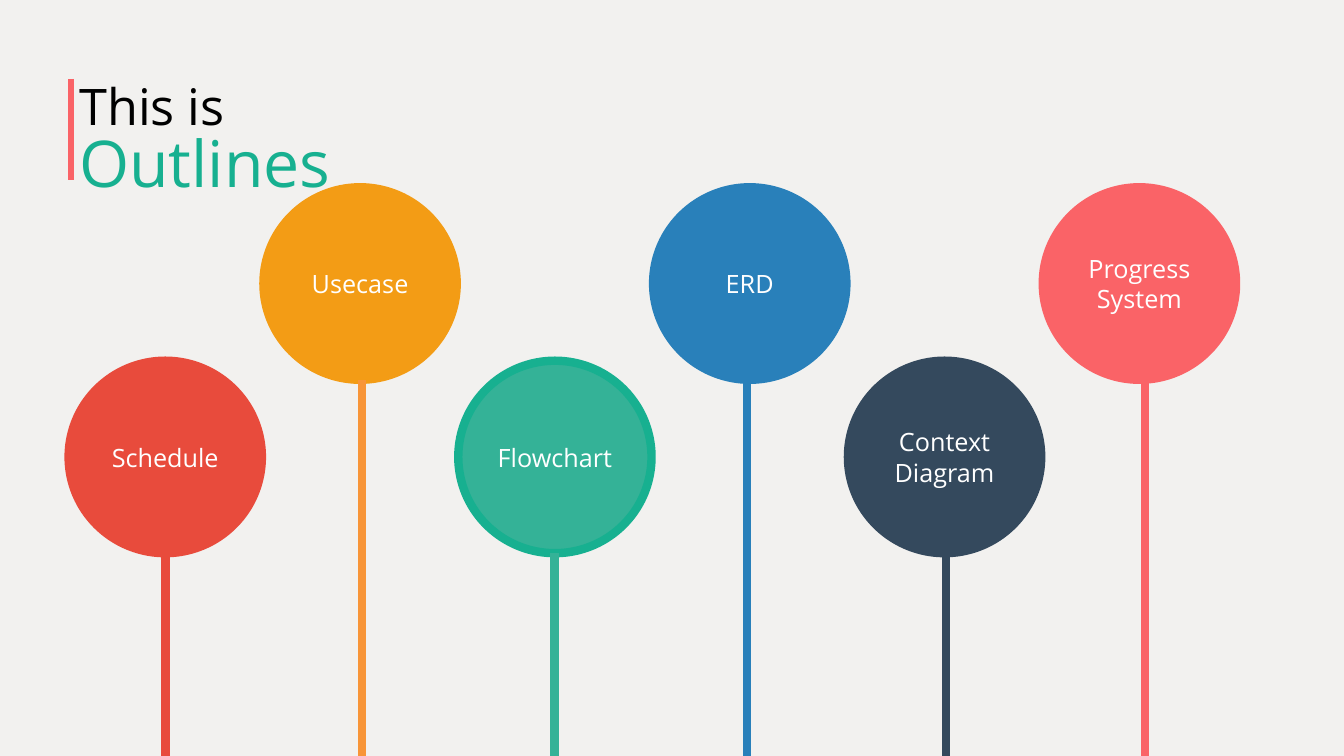
from dataclasses import dataclass

from lxml.etree import SubElement
from pptx import Presentation
from pptx.dml.color import RGBColor
from pptx.enum.shapes import MSO_CONNECTOR, MSO_SHAPE
from pptx.enum.text import MSO_ANCHOR, PP_ALIGN
from pptx.oxml.ns import qn
from pptx.util import Cm, Pt

FONT = "Open Sans"
PAGE_WIDTH, PAGE_HEIGHT = 33.87, 19.05
FIRST_LEFT, STEP = 1.73, 4.91
CIRCLE_WIDTH, CIRCLE_HEIGHT = 4.87, 4.85
LOW_TOP, HIGH_TOP = 9.09, 4.72


@dataclass
class Topic:
    label: str
    fill: str
    ring: str
    stem: str
    stem_x: float


TOPICS = [
    Topic("Schedule", "E84B3C", "E84B3C", "E84B3C", 4.17),
    Topic("Usecase", "F39C15", "F39C15", "F89538", 9.12),
    Topic("Flowchart", "34B297", "17B090", "34B297", 13.97),
    Topic("ERD", "2980BA", "2980BA", "2980BA", 18.82),
    Topic("Context Diagram", "34495D", "34495D", "34495D", 23.84),
    Topic("Progress System", "FA6367", "FA6367", "FA6367", 28.85),
]


def color(value: str) -> RGBColor:
    return RGBColor.from_string(value)


def style_span(span, size: float, value: str) -> None:
    span.font.name = FONT
    span.font.size = Pt(size)
    span.font.color.rgb = color(value)


def clear_margins(frame) -> None:
    frame.margin_left = frame.margin_right = 0
    frame.margin_top = frame.margin_bottom = 0


def add_bar(page, x: float, top: float, bottom: float, value: str, width: float) -> None:
    bar = page.shapes.add_connector(
        MSO_CONNECTOR.STRAIGHT, Cm(x), Cm(top), Cm(x), Cm(bottom))
    bar.line.color.rgb = color(value)
    bar.line.width = Pt(width)
    SubElement(bar._element.spPr, qn("a:effectLst"))


def add_title(page) -> None:
    box = page.shapes.add_textbox(Cm(2), Cm(1.65), Cm(12.9), Cm(3.4))
    frame = box.text_frame
    frame.word_wrap = True
    frame.vertical_anchor = MSO_ANCHOR.BOTTOM
    clear_margins(frame)
    frame.text = "This is\vOutlines"
    para = frame.paragraphs[0]
    para.line_spacing = Pt(46.4)
    for span, size, value in zip(para.runs, (36, 46), ("000000", "17B090")):
        style_span(span, size, value)


def add_circle(page, topic: Topic, left: float, top: float) -> None:
    circle = page.shapes.add_shape(
        MSO_SHAPE.OVAL, Cm(left), Cm(top), Cm(CIRCLE_WIDTH), Cm(CIRCLE_HEIGHT))
    circle.shadow.inherit = False
    circle.fill.solid()
    circle.fill.fore_color.rgb = color(topic.fill)
    circle.line.color.rgb = color(topic.ring)
    circle.line.width = Pt(6)
    frame = circle.text_frame
    frame.word_wrap = True
    frame.vertical_anchor = MSO_ANCHOR.MIDDLE
    clear_margins(frame)
    frame.text = topic.label
    para = frame.paragraphs[0]
    para.alignment = PP_ALIGN.CENTER
    style_span(para.runs[0], 18, "FFFFFF")


# Page
deck = Presentation()
deck.slide_width, deck.slide_height = Cm(PAGE_WIDTH), Cm(PAGE_HEIGHT)
page = deck.slides.add_slide(deck.slide_layouts[6])
page.background.fill.solid()
page.background.fill.fore_color.rgb = color("F2F1EF")

# Title with its accent bar
add_title(page)
add_bar(page, 1.79, 1.99, 4.53, "FA6367", 4.5)

# Topics alternate between the low and the high row
for index, topic in enumerate(TOPICS):
    top = HIGH_TOP if index % 2 else LOW_TOP
    add_circle(page, topic, FIRST_LEFT + index * STEP, top)
    add_bar(page, topic.stem_x, top + CIRCLE_HEIGHT, PAGE_HEIGHT, topic.stem, 6)

deck.save("out.pptx")
